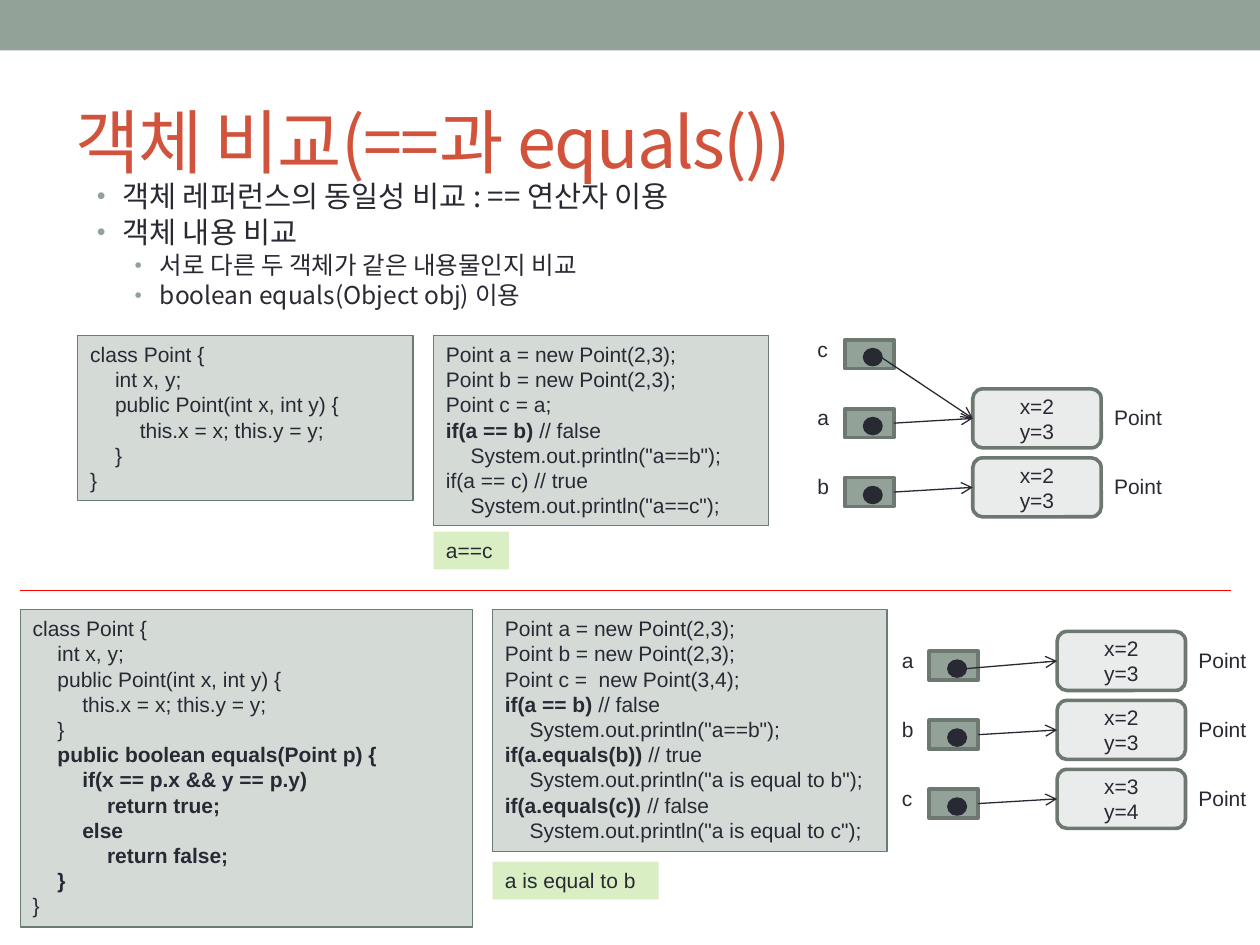
from pptx import Presentation, util as u
from pptx.dml import color
from pptx.enum import shapes, text
from pptx.oxml import ns, xmlchemy

COLORS = {
    "sage": "93A299", "title": "D2533C", "ink": "292934", "code": "D4DAD6",
    "code_line": "6B7D72", "edge": "6D7871", "object": "E9ECEB",
    "divider": "FF0000", "output": "DAEEC4",
}
BODY_FONT = "Noto Sans CJK KR"
CODE_FONT = "Arial"
ROW_STEP = 1.39

POINT_CLASS = [
    "class Point {", "\tint x, y;", "\tpublic Point(int x, int y) {",
    "\t\tthis.x = x; this.y = y;", "\t}",
]
EQUALS_METHOD = [
    "\tpublic boolean equals(Point p) {", "\t\tif(x == p.x && y == p.y)",
    "\t\t\treturn true;", "\t\telse", "\t\t\treturn false;", "\t}",
]
POINTS_A_B = ["Point a = new Point(2,3);", "Point b = new Point(2,3);"]
IDENTITY_TEST = [("if(a == b) ", "// false"), '\tSystem.out.println("a==b");']
IDENTITY_CODE = POINTS_A_B + ["Point c = a;"] + IDENTITY_TEST + [
    "if(a == c) // true", '\tSystem.out.println("a==c");',
]
EQUALS_CODE = POINTS_A_B + ["Point c =  new Point(3,4);"] + IDENTITY_TEST + [
    ("if(a.equals(b))", " // true"), '\tSystem.out.println("a is equal to b");',
    ("if(a.equals(c)) ", "// false"), '\tSystem.out.println("a is equal to c");',
]


def rgb(name):
    return color.RGBColor.from_string(COLORS[name])


def add_xml(parent, tag, **attributes):
    child = xmlchemy.OxmlElement(tag)
    for key, value in attributes.items():
        child.set(key, str(value))
    parent.append(child)
    return child


def set_font(para, size, name=CODE_FONT, ink="ink"):
    font = para.font
    font.size, font.name = u.Pt(size), name
    font.color.rgb = rgb(ink)
    add_xml(para._p.pPr.find(ns.qn("a:defRPr")), "a:ea", typeface=name)


def place(shape, left, top, width, height):
    shape.left, shape.top = u.Cm(left), u.Cm(top)
    shape.width, shape.height = u.Cm(width), u.Cm(height)


def write_lines(frame, lines, align=text.PP_ALIGN.LEFT, anchor=text.MSO_ANCHOR.TOP):
    frame.word_wrap = True
    frame.vertical_anchor = anchor
    for index, line in enumerate(lines):
        para = frame.add_paragraph() if index else frame.paragraphs[0]
        para.alignment = align
        tabs = add_xml(para._p.get_or_add_pPr(), "a:tabLst")
        for stop in range(1, 4):
            add_xml(tabs, "a:tab", pos=u.Cm(0.5 * stop), algn="l")
        set_font(para, 12)
        bold, plain = line if isinstance(line, tuple) else ("", line)
        if bold:
            span = para.add_run()
            span.text, span.font.bold = bold, True
        if plain:
            para.add_run().text = plain


def add_box(page, kind, area, fill, edge=None, weight=2.08):
    box = page.shapes.add_shape(kind, *map(u.Cm, area))
    box.shadow.inherit = False
    box.fill.solid()
    box.fill.fore_color.rgb = rgb(fill)
    if edge:
        box.line.color.rgb = rgb(edge)
        box.line.width = u.Pt(weight)
    else:
        box.line.fill.background()
    return box


def add_code(page, area, lines):
    box = add_box(page, shapes.MSO_SHAPE.RECTANGLE, area, "code", "code_line", 0.75)
    write_lines(box.text_frame, lines)


def add_output(page, area, line):
    box = add_box(page, shapes.MSO_SHAPE.RECTANGLE, area, "output")
    write_lines(box.text_frame, [line])


def add_label(page, area, label, wrap=True):
    box = page.shapes.add_textbox(*map(u.Cm, area))
    write_lines(box.text_frame, [label])
    box.text_frame.word_wrap = wrap


def add_line(page, start, end, ink):
    line = page.shapes.add_connector(shapes.MSO_CONNECTOR.STRAIGHT, *start, *end)
    line.line.color.rgb = rgb(ink)
    line.line.width = u.Pt(0.75)
    add_xml(line._element.spPr, "a:effectLst")
    return line


def add_reference(page, name, left, top):
    add_label(page, (left, top, 0.86, 0.76), name)
    cell = add_box(page, shapes.MSO_SHAPE.RECTANGLE,
                   (left + 0.8, top + 0.2, 0.99, 0.58), "sage", "edge")
    dot = add_box(page, shapes.MSO_SHAPE.FLOWCHART_CONNECTOR,
                  (left + 1.2, top + 0.4, 0.33, 0.3), "ink", "ink")
    return cell, dot


def add_object(page, values, left, top):
    box = add_box(page, shapes.MSO_SHAPE.ROUNDED_RECTANGLE,
                  (left + 3.38, top - 0.2, 2.59, 1.19), "object", "edge")
    write_lines(box.text_frame, values, text.PP_ALIGN.CENTER, text.MSO_ANCHOR.MIDDLE)
    add_label(page, (left + 5.98, top, 1.5, 0.76), "Point", wrap=False)
    return box


def add_arrow(page, source, target, joined=True):
    start = source.left + source.width, source.top + source.height // 2
    end = target.left, target.top + target.height // 2
    arrow = add_line(page, start, end, "ink")
    if joined:
        arrow.begin_connect(source, 3)
    arrow.end_connect(target, 1)
    add_xml(arrow.line._get_or_add_ln(), "a:tailEnd", type="arrow")


def add_identity_diagram(page, left, top):
    rows = [top + ROW_STEP * index for index in range(3)]
    cells = [add_reference(page, name, left, row) for name, row in zip("cab", rows)]
    objects = [add_object(page, ["x=2", "y=3"], left, row) for row in rows[1:]]
    add_arrow(page, cells[0][1], objects[0], joined=False)
    for (cell, dot), target in zip(cells[1:], objects):
        add_arrow(page, cell, target)


def add_equals_diagram(page, left, top):
    points = [("a", 2, 3), ("b", 2, 3), ("c", 3, 4)]
    for index, (name, x, y) in enumerate(points):
        row = top + ROW_STEP * index
        cell, dot = add_reference(page, name, left, row)
        target = add_object(page, [f"x={x}", f"y={y}"], left, row)
        add_arrow(page, cell if index else dot, target, joined=index > 0)


def fill_title(title):
    place(title, 1.27, 1.47, 22.86, 2.74)
    frame = title.text_frame
    frame.auto_size = text.MSO_AUTO_SIZE.NONE
    frame.vertical_anchor = text.MSO_ANCHOR.MIDDLE
    para = frame.paragraphs[0]
    para.text = "객체 비교(==과 equals())"
    para.alignment = text.PP_ALIGN.LEFT
    set_font(para, 40, BODY_FONT, "title")
    para._p.pPr.find(ns.qn("a:defRPr")).set("spc", "-100")


def fill_bullets(body):
    place(body, 1.7, 3.58, 22.66, 2.97)
    frame = body.text_frame
    frame.auto_size = text.MSO_AUTO_SIZE.NONE
    bullets = [
        (0, "객체 레퍼런스의 동일성 비교 : == 연산자 이용"),
        (0, "객체 내용 비교"),
        (1, "서로 다른 두 객체가 같은 내용물인지 비교"),
        (1, "boolean equals(Object obj) 이용"),
    ]
    for index, (level, line) in enumerate(bullets):
        para = frame.add_paragraph() if index else frame.paragraphs[0]
        size = 14 if level else 16.8
        para.text, para.level = line, level
        para.line_spacing = 0.85
        para.space_before = u.Pt(round(size * 0.2, 1))
        props = para._p.get_or_add_pPr()
        props.set("marL", str(u.Cm(1.27 if level else 0.51)))
        props.set("indent", str(u.Cm(-0.51)))
        add_xml(add_xml(props, "a:buClr"), "a:srgbClr", val=COLORS["sage"])
        add_xml(props, "a:buSzPct", val=85000)
        add_xml(props, "a:buFont", typeface=CODE_FONT)
        add_xml(props, "a:buChar", char="•")
        set_font(para, size, BODY_FONT)


def main():
    deck = Presentation()
    deck.slide_width, deck.slide_height = u.Cm(25.4), u.Cm(19.05)
    page = deck.slides.add_slide(deck.slide_layouts[1])
    add_box(page, shapes.MSO_SHAPE.RECTANGLE, (0, 0, 25.4, 1.02), "sage")
    fill_title(page.shapes.title)
    fill_bullets(page.placeholders[1])

    add_code(page, (8.74, 6.76, 6.76, 3.84), IDENTITY_CODE)
    add_code(page, (1.57, 6.76, 6.76, 3.33), POINT_CLASS + ["}"])
    add_identity_diagram(page, 16.23, 6.65)
    add_output(page, (8.74, 10.72, 1.52, 0.76), "a==c")

    add_line(page, (u.Cm(0.41), u.Cm(11.91)), (u.Cm(24.82), u.Cm(11.91)), "divider")

    equals_method = [(line, "") for line in EQUALS_METHOD]
    add_code(page, (0.41, 12.29, 9.12, 6.4), POINT_CLASS + equals_method + ["}"])
    add_code(page, (9.93, 12.29, 7.95, 4.88), EQUALS_CODE)
    add_equals_diagram(page, 17.93, 12.93)
    add_output(page, (9.93, 17.37, 3.35, 0.76), "a is equal to b")
    deck.save("out.pptx")


if __name__ == "__main__":
    main()
